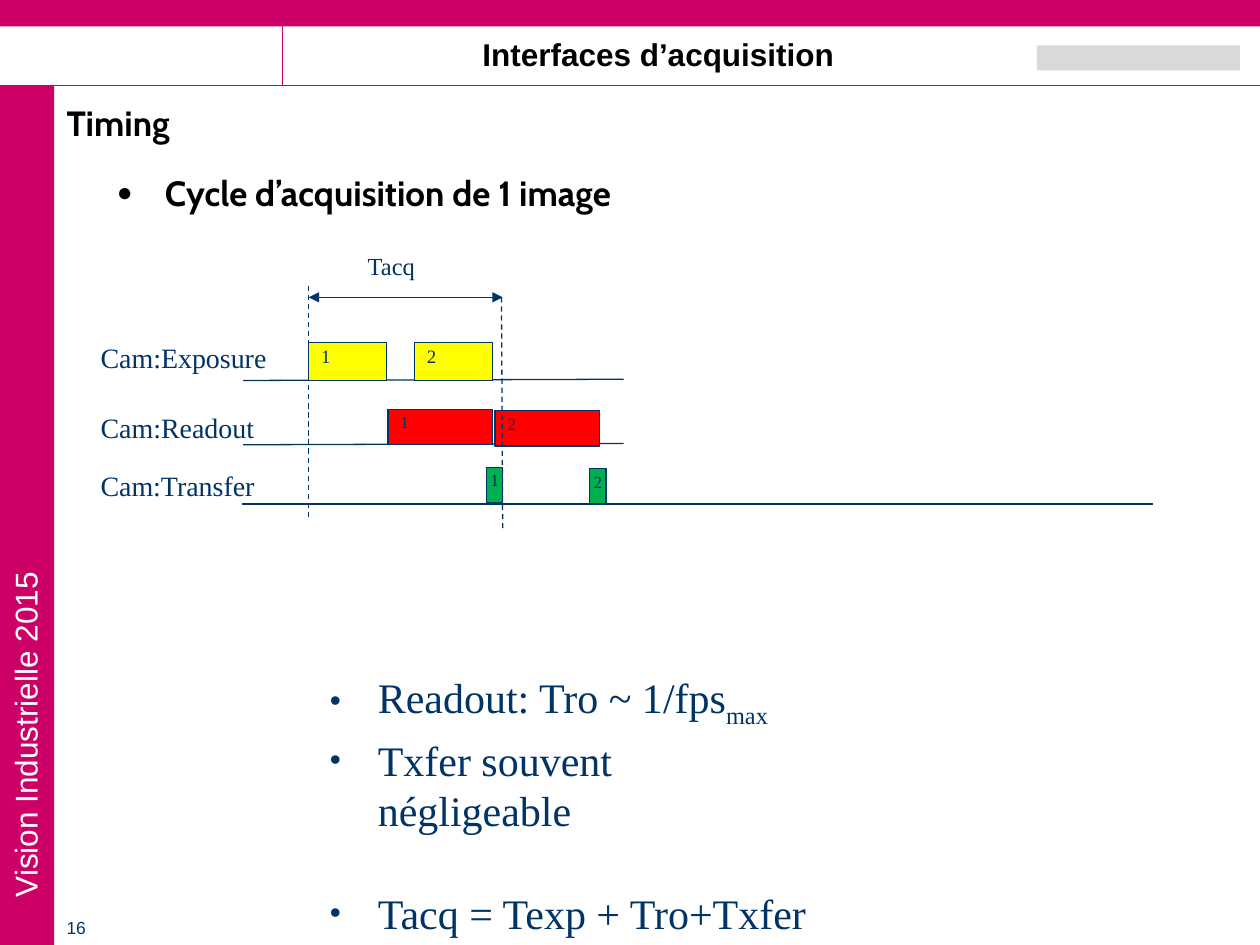
from dataclasses import dataclass

import pptx
import pptx.dml.color
import pptx.enum.dml
import pptx.enum.shapes
import pptx.enum.text
import pptx.oxml.ns
import pptx.util
from lxml import etree

COLUMNS, ROWS = 100, 75


@dataclass(frozen=True)
class Theme:
    brand: str = "CC0066"
    ink: str = "003366"
    black: str = "000000"
    white: str = "FFFFFF"
    emblem: str = "D9D9D9"
    exposure: str = "FFFF00"
    readout: str = "FF0000"
    transfer: str = "00B050"
    sans: str = "Arial"
    heading: str = "Cabin"
    serif: str = "Times New Roman"
    formula_size: float = 24
    heading_size: float = 20
    banner_size: float = 18
    track_size: float = 16
    interval_size: float = 14
    exposure_size: float = 10.8
    readout_size: float = 9.8
    page_size: float = 10
    line_width: float = 0.75


@dataclass(frozen=True)
class Track:
    label: str
    label_box: tuple
    axis: tuple
    bars: tuple
    bar_size: tuple
    fill: str
    digit_size: float


def add_child(parent, tag, **attributes):
    return etree.SubElement(parent, pptx.oxml.ns.qn(tag), attributes)


class TimingSlide:
    def __init__(self, presentation, theme):
        self.theme = theme
        self.column = presentation.slide_width / COLUMNS
        self.row = presentation.slide_height / ROWS
        self.slide = presentation.slides.add_slide(presentation.slide_layouts[6])

    def place(self, left, top, width, height):
        return (round(left * self.column), round(top * self.row),
                round(width * self.column), round(height * self.row))

    def color(self, value):
        return pptx.dml.color.RGBColor.from_string(value)

    def style(self, paragraph, font, size, color, bold=False):
        for run in paragraph.runs:
            run.font.name = font
            run.font.size = pptx.util.Pt(size)
            run.font.bold = bold
            run.font.color.rgb = self.color(color)

    def block(self, box, fill, outline=None):
        shape = self.slide.shapes.add_shape(
            pptx.enum.shapes.MSO_SHAPE.RECTANGLE, *self.place(*box))
        shape.shadow.inherit = False
        shape.fill.solid()
        shape.fill.fore_color.rgb = self.color(fill)
        if outline:
            shape.line.color.rgb = self.color(outline)
            shape.line.width = pptx.util.Pt(self.theme.line_width)
        else:
            shape.line.fill.background()
        return shape

    def bar(self, box, text, fill, size):
        text_frame = self.block(box, fill, self.theme.ink).text_frame
        text_frame.text = text
        text_frame.vertical_anchor = pptx.enum.text.MSO_ANCHOR.TOP
        paragraph = text_frame.paragraphs[0]
        paragraph.alignment = pptx.enum.text.PP_ALIGN.LEFT
        paragraph.line_spacing = 0.8
        self.style(paragraph, self.theme.serif, size, self.theme.ink)

    def text(self, box, text, font, size, color, bold=False, wrap=True):
        shape = self.slide.shapes.add_textbox(*self.place(*box))
        shape.text_frame.word_wrap = wrap
        shape.text_frame.text = text
        for paragraph in shape.text_frame.paragraphs:
            self.style(paragraph, font, size, color, bold)
        return shape

    def bullet(self, paragraph, character, color):
        properties = paragraph._p.get_or_add_pPr()
        indent = pptx.util.Inches(0.38)
        properties.set("marL", str(indent))
        properties.set("indent", str(-indent))
        add_child(add_child(properties, "a:buClr"), "a:srgbClr", val=color)
        add_child(properties, "a:buSzPct", val="75000")
        add_child(properties, "a:buFont", typeface=self.theme.sans)
        add_child(properties, "a:buChar", char=character)

    def line(self, start, end, color, dashed=False, arrows=False):
        connector = self.slide.shapes.add_connector(
            pptx.enum.shapes.MSO_CONNECTOR.STRAIGHT, *self.place(*start, *end))
        connector.line.color.rgb = self.color(color)
        connector.line.width = pptx.util.Pt(self.theme.line_width)
        if dashed:
            connector.line.dash_style = pptx.enum.dml.MSO_LINE.DASH
        if arrows:
            outline = connector.line._get_or_add_ln()
            add_child(outline, "a:headEnd", type="triangle")
            add_child(outline, "a:tailEnd", type="triangle")
        add_child(connector._element.spPr, "a:effectLst")

    def track(self, track):
        theme = self.theme
        self.line(*track.axis, theme.ink)
        self.text(track.label_box, track.label, theme.serif, theme.track_size,
                  theme.ink, wrap=False)
        for number, corner in enumerate(track.bars, start=1):
            self.bar((*corner, *track.bar_size), str(number), track.fill, track.digit_size)

    def frame(self):
        theme = self.theme
        self.block((0, 6.8, 4.3, 68.2), theme.brand)
        self.block((0, 0, COLUMNS, 2.1), theme.brand)
        self.line((0, 6.8), (COLUMNS, 6.8), theme.brand)
        self.line((22.4, 6.8), (22.4, 0), theme.brand)
        self.block((82.3, 3.6, 16.1, 2), theme.emblem)
        course = self.text((-18.5, 49.7, 41, 4), "Vision Industrielle 2015",
                           theme.sans, theme.banner_size, theme.white)
        course.rotation = 270
        self.text((4.3, 72.3, 4.7, 2.7), "16", theme.sans, theme.page_size, theme.ink)
        banner = self.text((23.1, 2.3, 58.3, 4), "Interfaces d’acquisition",
                           theme.sans, theme.banner_size, theme.black, bold=True)
        banner.text_frame.paragraphs[0].alignment = pptx.enum.text.PP_ALIGN.CENTER

    def headings(self):
        theme = self.theme
        title = self.text((4.3, 7.6, 94.5, 4.7), "Timing", theme.heading,
                          theme.heading_size, theme.black, bold=True)
        title.text_frame.vertical_anchor = pptx.enum.text.MSO_ANCHOR.MIDDLE
        title.text_frame.paragraphs[0].line_spacing = 0.9
        cycle = self.text((8.3, 13.1, 90.6, 5), "Cycle d’acquisition de 1 image",
                          theme.heading, theme.heading_size, theme.black, bold=True)
        self.bullet(cycle.text_frame.paragraphs[0], "●", theme.black)

    def diagram(self):
        theme = self.theme
        exposure = Track("Cam:Exposure", (7, 26.5, 15.2, 3.7), ((19.3, 30.2), (49.5, 30.1)),
                         ((24.5, 27.2), (32.9, 27.2)), (6.2, 3),
                         theme.exposure, theme.exposure_size)
        readout = Track("Cam:Readout", (7, 32.1, 14.2, 3.7), ((19.3, 35.3), (49.5, 35.2)),
                        ((30.8, 32.5), (39.3, 32.6)), (8.3, 2.8),
                        theme.readout, theme.readout_size)
        transfer = Track("Cam:Transfer", (7, 36.7, 14.3, 3.7), ((19.2, 40), (91.5, 40)),
                         ((38.6, 37.1), (46.8, 37.2)), (1.3, 2.8),
                         theme.transfer, theme.readout_size)
        self.track(exposure)
        self.track(readout)
        self.line((24.5, 22.7), (24.5, 41.3), theme.ink, dashed=True)
        self.line((39.8, 23.6), (39.9, 42.2), theme.ink, dashed=True)
        self.text((28.2, 19.4, 5.9, 3.4), "Tacq", theme.serif, theme.interval_size,
                  theme.ink, wrap=False)
        self.line((24.5, 23.6), (39.9, 23.6), theme.ink, arrows=True)
        self.track(transfer)

    def formulas(self):
        theme = self.theme
        lines = "Readout: Tro ~ 1/fps", "Txfer souvent négligeable", "Tacq = Texp + Tro+Txfer"
        shape = self.text((25.2, 52.8, 40.5, 17.2), "\n".join(lines), theme.serif,
                          theme.formula_size, theme.ink, wrap=False)
        paragraphs = shape.text_frame.paragraphs
        subscript = paragraphs[0].add_run()
        subscript.text = "max"
        self.style(paragraphs[0], theme.serif, theme.formula_size, theme.ink)
        subscript.font._element.set("baseline", "-25000")
        for paragraph, gap in zip(paragraphs[1:], (3, 30)):
            paragraph.space_before = pptx.util.Pt(gap)
        for paragraph in paragraphs:
            self.bullet(paragraph, "•", theme.ink)


def main():
    presentation = pptx.Presentation()
    presentation.slide_width = pptx.util.Inches(10)
    presentation.slide_height = pptx.util.Inches(7.5)
    timing = TimingSlide(presentation, Theme())
    timing.frame()
    timing.headings()
    timing.formulas()
    timing.diagram()
    presentation.save("out.pptx")


if __name__ == "__main__":
    main()
